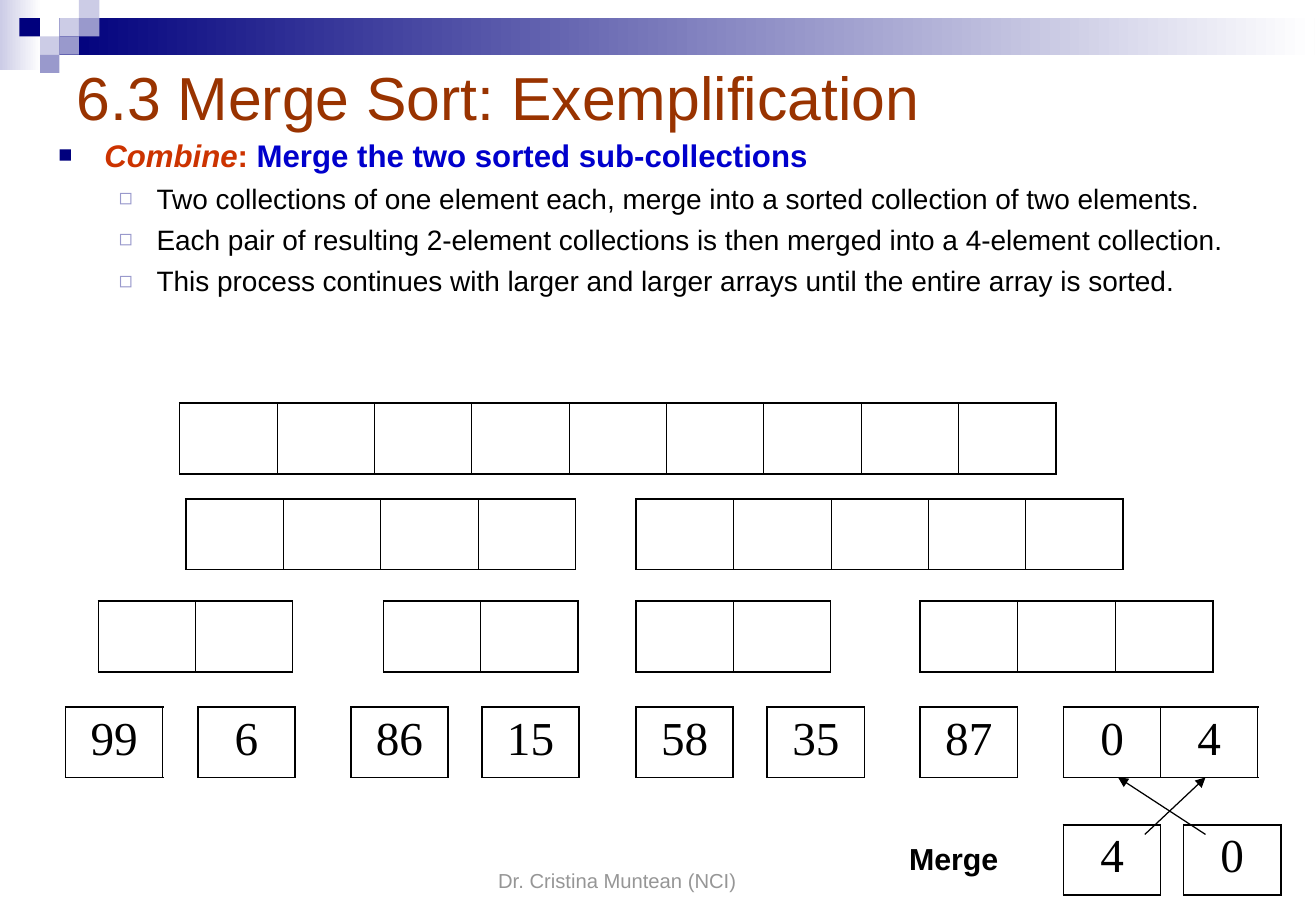
"""Build the merge sort slide that shows the first combine step."""
from dataclasses import dataclass

import lxml.etree
import pptx
import pptx.dml.color
import pptx.enum.shapes
import pptx.enum.text
import pptx.oxml
import pptx.oxml.ns
import pptx.util

PX = 9144
CELL_W, CELL_H = 80.25, 58
GRID_X = (0, 16, 33, 49, 65, 82)
GRID_Y = (0, 15, 30, 45, 60)


@dataclass(frozen=True)
class Theme:
    """Colours, fonts and type sizes of the slide."""
    navy: str = "00007D"
    mid: str = "9999CC"
    light: str = "CCCCE6"
    white: str = "FFFFFF"
    black: str = "000000"
    title: str = "993300"
    accent: str = "CC3300"
    blue: str = "0000CC"
    grey: str = "969696"
    sans: str = "Arial"
    serif: str = "Times New Roman"
    title_size: float = 36
    lead_size: float = 18.5
    item_size: float = 16.6
    cell_size: float = 28
    label_size: float = 18
    footer_size: float = 12
    outer_line: float = 1.08
    inner_line: float = 0.45
    arrow_line: float = 0.75


THEME = Theme()
ANCHOR = pptx.enum.text.MSO_ANCHOR
ALIGN = pptx.enum.text.PP_ALIGN

SQUARES = (
    (3, 1, THEME.light), (4, 0, THEME.light), (4, 1, THEME.mid),
    (2, 2, THEME.light), (1, 1, THEME.navy), (3, 2, THEME.mid),
    (2, 3, THEME.mid),
)
ARRAYS = {
    332: ((148, [""] * 9),),
    411: ((153, [""] * 4), (524, [""] * 5)),
    495: ((316, [""] * 2), (81, [""] * 2), (524, [""] * 2), (758, [""] * 3)),
    582: ((54, ["99"]), (163, ["6"]), (289, ["86"]), (397, ["15"]),
          (524, ["58"]), (632, ["35"]), (758, ["87"]), (876, ["0", "4"])),
    679: ((876, ["4"]), (975, ["0"])),
}
LEAD = (("Combine", THEME.accent, True), (":", THEME.accent, False),
        (" Merge the two sorted sub-collections", THEME.blue, False))
ITEMS = (
    "Two collections of one element each, merge into a sorted collection of two elements.",
    "Each pair of resulting 2-element collections is then merged into a 4-element collection.",
    "This process continues with larger and larger arrays until the entire array is sorted.",
)


def box(*lengths):
    """Turn px lengths into EMU."""
    return [pptx.util.Emu(n * PX) for n in lengths]


def rgb(color):
    """Return a colour object for a hex string."""
    return pptx.dml.color.RGBColor.from_string(color)


def sub(parent, tag, **attrs):
    """Append a DrawingML child element."""
    return lxml.etree.SubElement(parent, pptx.oxml.ns.qn(tag), attrs)


def style(font, size, color, name=THEME.sans, bold=False):
    """Set the look of a font."""
    font.size, font.name, font.bold = pptx.util.Pt(size), name, bold
    font.color.rgb = rgb(color)


def add_rect(s, left, top, width, height, *colors):
    """Add a borderless rectangle, graded if it gets two colours."""
    sp = s.shapes.add_shape(pptx.enum.shapes.MSO_SHAPE.RECTANGLE,
                            *box(left, top, width, height))
    sp.shadow.inherit = False
    sp.line.fill.background()
    if len(colors) == 1:
        sp.fill.solid()
        sp.fill.fore_color.rgb = rgb(colors[0])
    else:
        sp.fill.gradient()
        sp.fill.gradient_angle = 0
        for stop, color in zip(sp.fill.gradient_stops, colors):
            stop.color.rgb = rgb(color)


def add_header(s):
    """Draw the graded bar and the mosaic of squares."""
    add_rect(s, 0, 0, 34, 58, THEME.light, THEME.white)
    add_rect(s, 49, 15, 1034, 30, THEME.navy, THEME.white)
    for col, row, color in SQUARES:
        x, y = GRID_X[col], GRID_Y[row]
        add_rect(s, x, y, GRID_X[col + 1] - x, GRID_Y[row + 1] - y, color)


def set_borders(cell, first, last):
    """Rule a cell with heavy outer and light inner lines."""
    tcPr = cell._tc.get_or_add_tcPr()
    for side, outer in (("L", first), ("R", last), ("T", True), ("B", True)):
        width = THEME.outer_line if outer else THEME.inner_line
        ln = sub(tcPr, f"a:ln{side}", w=str(pptx.util.Pt(width)))
        sub(sub(ln, "a:solidFill"), "a:srgbClr", val=THEME.black)


def add_array(s, left, top, values):
    """Add a one-row table that shows an array."""
    n = len(values)
    bounds = box(left, top, round(n * CELL_W), CELL_H)
    table = s.shapes.add_table(1, n, *bounds).table
    table.first_row = table.horz_banding = False
    for i, value in enumerate(values):
        cell = table.cell(0, i)
        set_borders(cell, i == 0, i == n - 1)
        cell.fill.background()
        p = cell.text_frame.paragraphs[0]
        p.alignment = ALIGN.CENTER
        if value:
            p.text = value
            style(p.font, THEME.cell_size, THEME.black, THEME.serif)


def add_label(s, text, bounds, size, color, bold=False,
              align=ALIGN.LEFT, anchor=ANCHOR.TOP):
    """Add a one-line text box."""
    tf = s.shapes.add_textbox(*box(*bounds)).text_frame
    tf.word_wrap, tf.vertical_anchor = True, anchor
    p = tf.paragraphs[0]
    p.text, p.alignment = text, align
    style(p.font, size, color, bold=bold)


def add_arrow(s, *ends):
    """Add a thin arrow between two points."""
    line = s.shapes.add_connector(pptx.enum.shapes.MSO_CONNECTOR.STRAIGHT, *box(*ends))
    line.line.width = pptx.util.Pt(THEME.arrow_line)
    line.line.color.rgb = rgb(THEME.black)
    sub(line.line._get_or_add_ln(), "a:tailEnd", type="triangle")
    sub(line._element.spPr, "a:effectLst")


def place(sp, bounds, anchor):
    """Move a placeholder and return its text frame."""
    sp.left, sp.top, sp.width, sp.height = box(*bounds)
    tf = sp.text_frame
    tf.auto_size = pptx.enum.text.MSO_AUTO_SIZE.NONE
    tf.word_wrap, tf.vertical_anchor = True, anchor
    return tf


def set_bullet(p, char, color, percent, indent, hang, before):
    """Give a paragraph its bullet, indent and space before."""
    p.space_before = pptx.util.Pt(before)
    pPr = p._p.get_or_add_pPr()
    pPr.set("marL", str(indent * PX))
    pPr.set("indent", str(-hang * PX))
    sub(sub(pPr, "a:buClr"), "a:srgbClr", val=color)
    sub(pPr, "a:buSzPct", val=str(percent * 1000))
    sub(pPr, "a:buFont", typeface=THEME.sans)
    sub(pPr, "a:buChar", char=char)


def fill_title(s):
    """Write the title."""
    p = place(s.shapes.title, (53, 36, 975, 87), ANCHOR.MIDDLE).paragraphs[0]
    p.text, p.alignment = "6.3 Merge Sort: Exemplification", ALIGN.LEFT
    style(p.font, THEME.title_size, THEME.title)


def fill_body(s):
    """Write the lead line and its list."""
    tf = place(s.placeholders[1], (38, 107, 1023, 173), ANCHOR.TOP)
    p = tf.paragraphs[0]
    set_bullet(p, "■", THEME.navy, 75, 38, 38, 5)
    for text, color, italic in LEAD:
        r = p.add_run()
        r.text, r.font.italic = text, italic
        style(r.font, THEME.lead_size, color, bold=True)
    for text in ITEMS:
        p = tf.add_paragraph()
        p.text, p.level = text, 1
        set_bullet(p, "◻", THEME.mid, 80, 81, 31, 4.5)
        style(p.font, THEME.item_size, THEME.black)


def main():
    """Build and save the slide."""
    prs = pptx.Presentation()
    prs.slide_width, prs.slide_height = box(1084, 750)
    s = prs.slides.add_slide(prs.slide_layouts[1])
    add_header(s)
    for top, row in ARRAYS.items():
        for left, values in row:
            add_array(s, left, top, values)
    add_label(s, "Merge", (739, 687, 110, 40), THEME.label_size, THEME.black, bold=True)
    add_arrow(s, 993, 687, 921, 640)
    add_arrow(s, 943, 687, 993, 640)
    fill_title(s)
    fill_body(s)
    add_label(s, "Dr. Cristina Muntean (NCI)", (337, 690, 343, 50), THEME.footer_size,
              THEME.grey, align=ALIGN.CENTER, anchor=ANCHOR.BOTTOM)
    prs.save("out.pptx")


if __name__ == "__main__":
    main()
